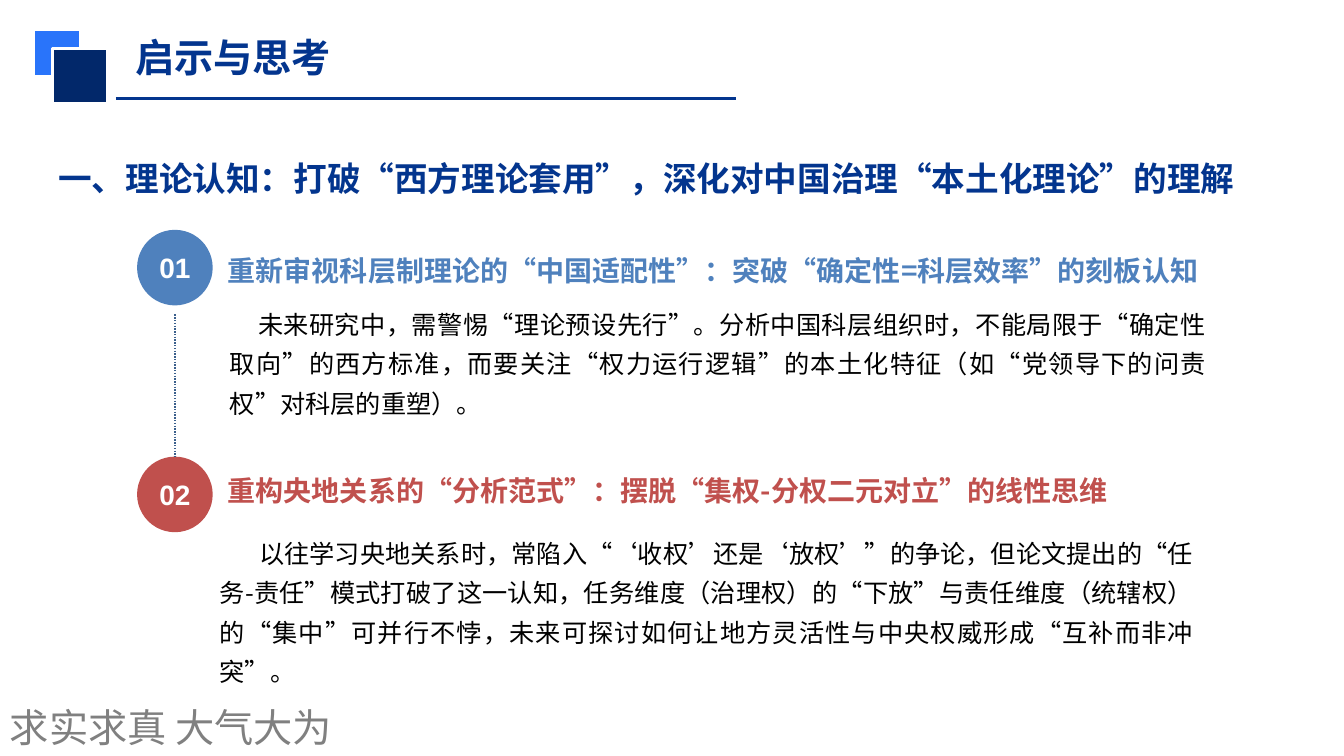
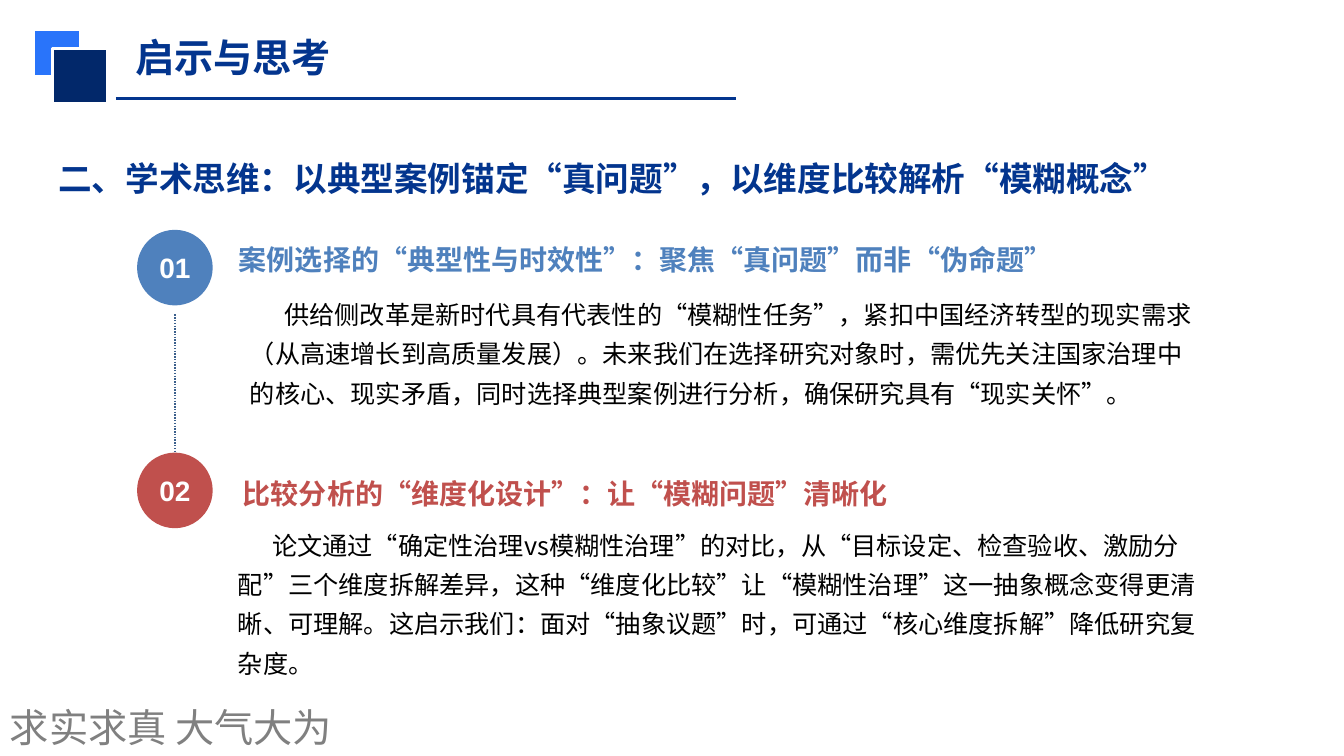
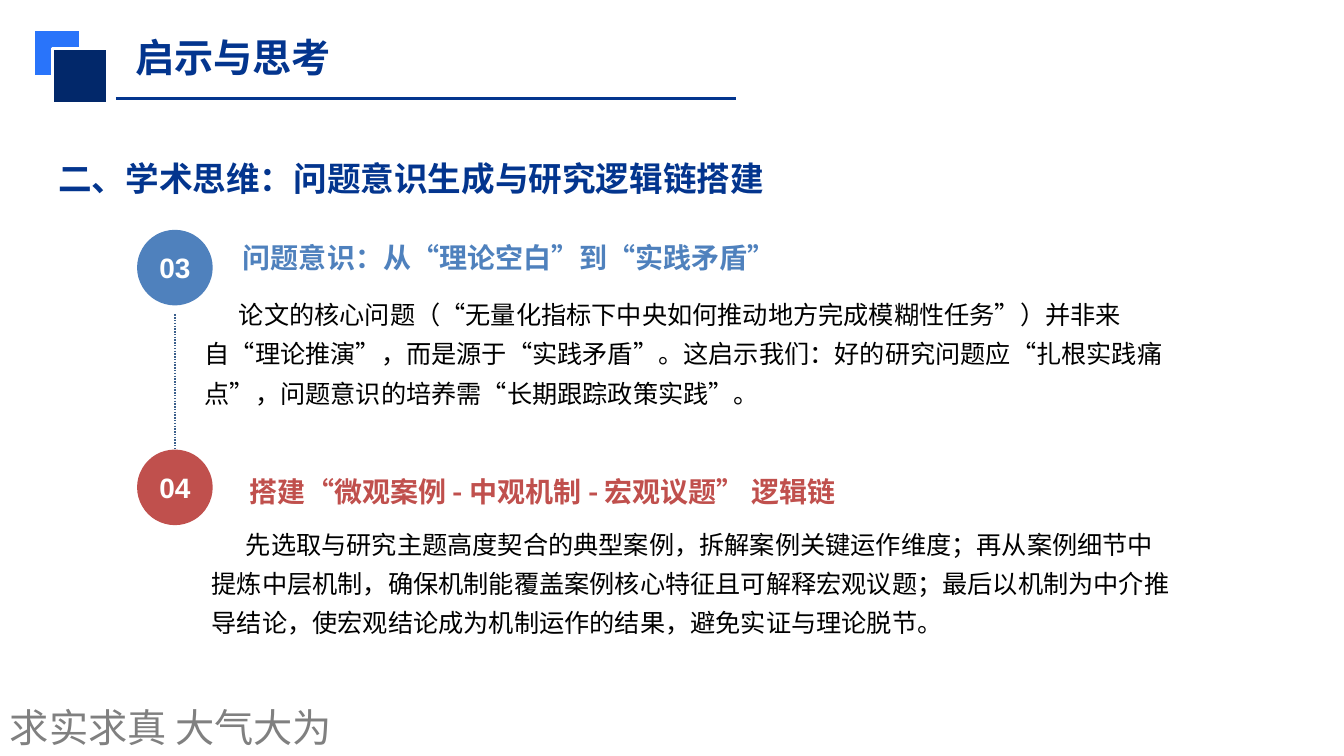
from dataclasses import dataclass

from lxml.etree import SubElement
from pptx import Presentation
from pptx.dml.color import RGBColor
from pptx.enum.dml import MSO_LINE_DASH_STYLE as Dash
from pptx.enum.lang import MSO_LANGUAGE_ID as Lang
from pptx.enum.shapes import MSO_CONNECTOR as Connector, MSO_SHAPE as Preset
from pptx.enum.text import MSO_ANCHOR as Anchor, MSO_AUTO_SIZE as AutoSize, PP_ALIGN as Align
from pptx.oxml.ns import qn
from pptx.util import Inches, Pt

CELL = Inches(0.1)
COLS, ROWS = 133.33, 75
CJK, LATIN = "Noto Sans CJK SC", "Arial"
NAVY, DEEP, BRIGHT, WHITE = "03358E", "02286A", "2974FA", "FFFFFF"
BLUE, RED, BLACK, GREY, DOTS = "4F81BD", "C0504D", "000000", "808080", "3A5F8C"
BADGE = 7.5
ROW_LEFT = 13.6
TITLE_INSETS = (0.7, 0.4, 0.7, 0.4)
TEXT_INSETS = (1, 0.5, 1, 0.5)
NO_INSETS = (0, 0, 0, 0)


@dataclass
class Point:
    """One numbered point: its row and the offsets of its parts from the badge."""
    number: str
    top: float
    heading: str
    heading_at: tuple
    body: str
    body_box: tuple
    indent: float = 3.4
    align: Align = Align.LEFT


SECTIONS = [
    ("一、理论认知：打破“西方理论套用”，深化对中国治理“本土化理论”的理解", [
        Point("01", 22.8, "重新审视科层制理论的“中国适配性”：突破“确定性=科层效率”的刻板认知", (9, 1.3),
              "未来研究中，需警惕“理论预设先行”。分析中国科层组织时，不能局限于“确定性取向”的西方标准，"
              "而要关注“权力运行逻辑”的本土化特征（如“党领导下的问责权”对科层的重塑）。",
              (9.2, 7, 96.9), 2.8, Align.JUSTIFY),
        Point("02", 45.3, "重构央地关系的“分析范式”：摆脱“集权-分权二元对立”的线性思维", (9, 0.6),
              "以往学习央地关系时，常陷入“‘收权’还是‘放权’”的争论，但论文提出的“任务-责任”模式打破了这一认知，"
              "任务维度（治理权）的“下放”与责任维度（统辖权）的“集中”可并行不悖，"
              "未来可探讨如何让地方灵活性与中央权威形成“互补而非冲突”。",
              (8.2, 7.2, 96.6), 3.9, Align.JUSTIFY)]),
    ("二、学术思维：以典型案例锚定“真问题”，以维度比较解析“模糊概念”", [
        Point("01", 22.8, "案例选择的“典型性与时效性”：聚焦“真问题”而非“伪命题”", (10.1, 0.2),
              "供给侧改革是新时代具有代表性的“模糊性任务”，紧扣中国经济转型的现实需求（从高速增长到高质量发展）。"
              "未来我们在选择研究对象时，需优先关注国家治理中的核心、现实矛盾，"
              "同时选择典型案例进行分析，确保研究具有“现实关怀”。", (11.2, 6, 94.8)),
        Point("02", 44.9, "比较分析的“维度化设计”：让“模糊问题”清晰化", (10.5, 1.3),
              "论文通过“确定性治理vs模糊性治理”的对比，从“目标设定、检查验收、激励分配”三个维度拆解差异，"
              "这种“维度化比较”让“模糊性治理”这一抽象概念变得更清晰、可理解。"
              "这启示我们：面对“抽象议题”时，可通过“核心维度拆解”降低研究复杂度。", (10, 6.8, 96.1))]),
    ("二、学术思维：问题意识生成与研究逻辑链搭建", [
        Point("03", 22.8, "问题意识：从“理论空白”到“实践矛盾”", (10.5, 0),
              "论文的核心问题（“无量化指标下中央如何推动地方完成模糊性任务”）并非来自“理论推演”，"
              "而是源于“实践矛盾”。这启示我们：好的研究问题应“扎根实践痛点”，"
              "问题意识的培养需“长期跟踪政策实践”。", (6.7, 6, 95.5)),
        Point("04", 44.6, "搭建“微观案例 - 中观机制 - 宏观议题” 逻辑链", (11.2, 1.4),
              "先选取与研究主题高度契合的典型案例，拆解案例关键运作维度；再从案例细节中提炼中层机制，"
              "确保机制能覆盖案例核心特征且可解释宏观议题；最后以机制为中介推导结论，"
              "使宏观结论成为机制运作的结果，避免实证与理论脱节。", (7.4, 7, 95.5))]),
]


def grid(*cells):
    """Turn grid cells into slide lengths."""
    return [int(cell * CELL) for cell in cells]


def rgb(hex_code):
    """Turn a hex string into a colour."""
    return RGBColor.from_string(hex_code)


def assign(target, values):
    """Set each attribute of the target from a dict."""
    for name, value in values.items():
        setattr(target, name, value)


def write(holder, text, size, color, bold=True, face=CJK, insets=NO_INSETS, indent=0, frame=None, para=None):
    """Write one formatted paragraph into a shape."""
    text_frame = holder.text_frame
    sides = ("margin_left", "margin_top", "margin_right", "margin_bottom")
    assign(text_frame, dict(zip(sides, grid(*insets))))
    assign(text_frame, {"auto_size": AutoSize.NONE, "word_wrap": True,
                        "vertical_anchor": Anchor.TOP, **(frame or {})})
    paragraph = text_frame.paragraphs[0]
    assign(paragraph, {"alignment": Align.LEFT, **(para or {})})
    if indent:
        paragraph._p.get_or_add_pPr().set("indent", str(grid(indent)[0]))
    run = paragraph.add_run()
    run.text = text
    assign(run.font, {"size": Pt(size), "bold": bold, "name": face,
                      "language_id": Lang.SIMPLIFIED_CHINESE})
    run.font.color.rgb = rgb(color)
    SubElement(run.font._element, qn("a:ea"), typeface=face)


def add_text(slide, box, text, size, color, **style):
    """Add a text box on the grid."""
    holder = slide.shapes.add_textbox(*grid(*box))
    write(holder, text, size, color, **style)
    return holder


def add_solid(slide, preset, box, color, border=None):
    """Add a filled shape, with a white border if a width is given."""
    solid = slide.shapes.add_shape(preset, *grid(*box))
    solid.shadow.inherit = False
    solid.fill.solid()
    solid.fill.fore_color.rgb = rgb(color)
    if border:
        solid.line.color.rgb = rgb(WHITE)
        solid.line.width = Pt(border)
    else:
        solid.line.fill.background()
    return solid


def add_rule(slide, ends, color, width, dash=None):
    """Add a straight line on the grid."""
    rule = slide.shapes.add_connector(Connector.STRAIGHT, *grid(*ends))
    rule.line.color.rgb = rgb(color)
    assign(rule.line, {"width": Pt(width), "dash_style": dash})
    SubElement(rule.element.spPr, qn("a:effectLst"))
    return rule


def furnish_layout(layout, slide):
    """Put the emblem, the title rule and the motto on the layout."""
    for placeholder in list(layout.placeholders):
        if placeholder.placeholder_format.idx:
            placeholder.element.getparent().remove(placeholder.element)
    shared = [
        add_solid(slide, Preset.RECTANGLE, (3.3, 2.9, 4.7, 4.7), BRIGHT, 2),
        add_solid(slide, Preset.RECTANGLE, (5.2, 4.8, 5.5, 5.5), DEEP, 2),
        add_rule(slide, (11.5, 9.8, 73, 9.8), NAVY, 2.25),
        add_text(slide, (0, ROWS - 5.7, 39.4, 5.7), "求实求真 大气大为", 28, GREY,
                 bold=False, insets=TEXT_INSETS),
    ]
    for part in shared:
        layout.shapes.element.append(part.element)


def add_headings(slide, section):
    """Fill the title and the section heading under it."""
    title = slide.shapes.title
    assign(title, dict(zip(("left", "top", "width", "height"), grid(12.7, 2.9, 20.9, 5.5))))
    write(title, "启示与思考", 28, NAVY, insets=TITLE_INSETS, frame={"word_wrap": False})
    add_text(slide, (4.8, 15.6, 120, 4), section, 24, NAVY, insets=TEXT_INSETS,
             para={"line_spacing": 0.9})


def add_point(slide, point, left, color):
    """Add a badge with its heading and body, and return the badge."""
    badge = add_solid(slide, Preset.OVAL, (left, point.top, BADGE, BADGE), color)
    write(badge, point.number, 20, WHITE, face=LATIN, para={"alignment": Align.CENTER},
          frame={"vertical_anchor": Anchor.MIDDLE, "word_wrap": False})
    across, down = point.heading_at
    add_text(slide, (left + across, point.top + down, 98.5, 4.4), point.heading, 20, color,
             frame={"vertical_anchor": Anchor.BOTTOM})
    across, down, width = point.body_box
    add_text(slide, (left + across, point.top + down, width, 12.5), point.body, 18, BLACK,
             bold=False, indent=point.indent,
             para={"line_spacing": 1.3, "alignment": point.align})
    return badge


def add_points(slide, points, left):
    """Add the two points and the dotted line down to the second badge."""
    first, second = points
    add_point(slide, first, left, BLUE)
    lower_badge = add_point(slide, second, left, RED)
    center = left + BADGE / 2
    thread = add_rule(slide, (center, first.top + BADGE + 0.9, center, second.top), DOTS, 1, Dash.ROUND_DOT)
    thread.end_connect(lower_badge, 0)


def main():
    """Build and save the presentation."""
    deck = Presentation()
    deck.slide_width, deck.slide_height = grid(COLS, ROWS)
    layout = deck.slide_layouts[5]
    for index, (section, points) in enumerate(SECTIONS):
        slide = deck.slides.add_slide(layout)
        if index == 0:
            furnish_layout(layout, slide)
        add_headings(slide, section)
        add_points(slide, points, ROW_LEFT)
    deck.save("out.pptx")


if __name__ == "__main__":
    main()
